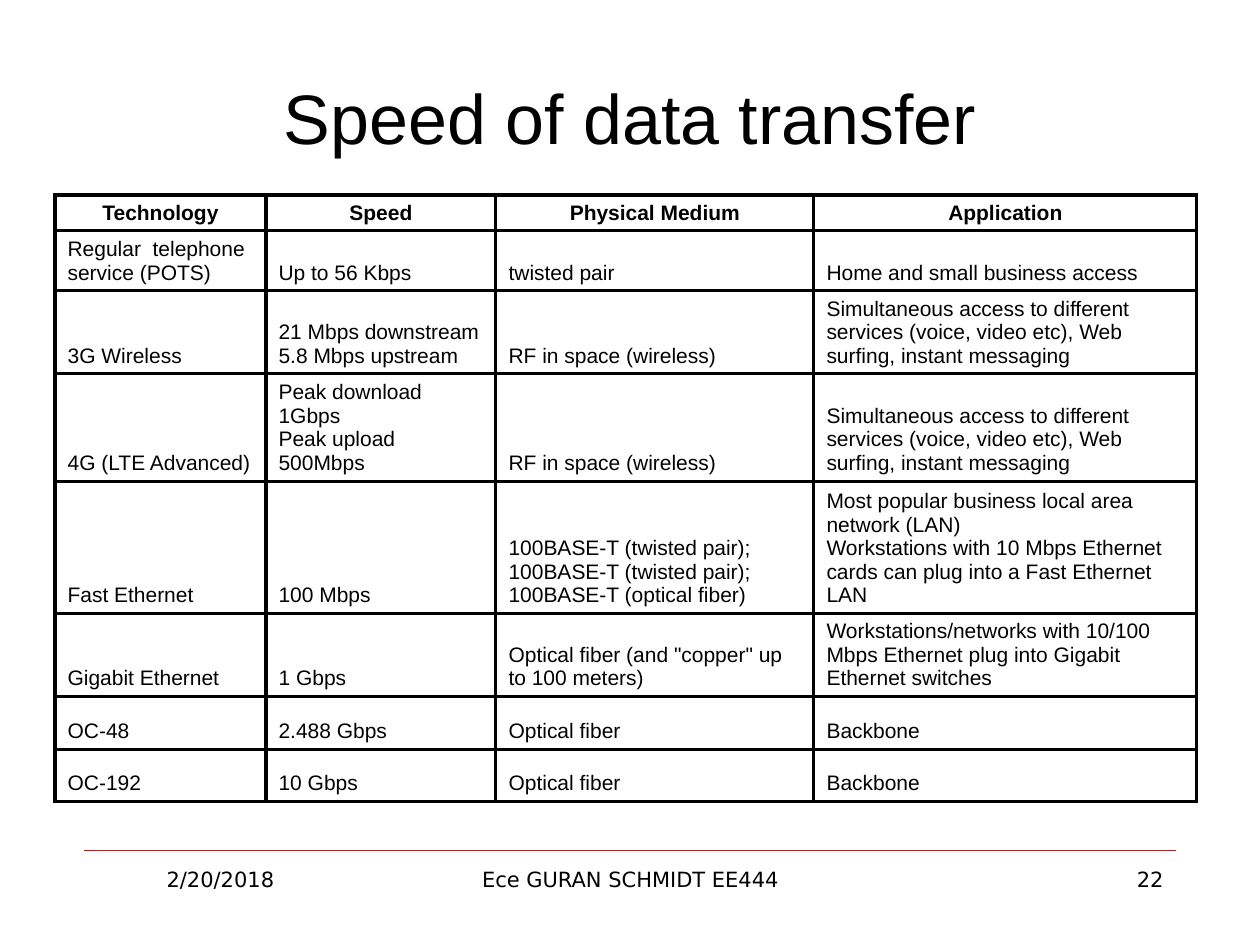
from lxml import etree
from pptx import Presentation
from pptx.dml.color import RGBColor
from pptx.enum.shapes import MSO_CONNECTOR
from pptx.enum.text import MSO_ANCHOR as ANCHOR, PP_ALIGN as ALIGN
from pptx.oxml import parse_xml
from pptx.oxml.ns import nsdecls, qn
from pptx.util import Pt

PX = 914400 / 126
BLACK, WHITE, RED = "000000", "FFFFFF", "FF0000"


def px(*lengths):
    """Turn pixel lengths into a list of EMU."""
    return [round(length * PX) for length in lengths]


def style(font, size, font_name, bold=False):
    font.size, font.name, font.bold = Pt(size), font_name, bold
    font.color.rgb = RGBColor.from_string(BLACK)


prs = Presentation()
prs.slide_width, prs.slide_height = px(1260, 945)
slide = prs.slides.add_slide(prs.slide_layouts[5])

# Title
title = slide.shapes.title
title.left, title.top, title.width, title.height = px(63, 38, 1134, 157)
title.text_frame.text = "Speed of data transfer"
title.text_frame.vertical_anchor = ANCHOR.MIDDLE
heading = title.text_frame.paragraphs[0]
heading.alignment = ALIGN.CENTER
style(heading.font, 40, "Arial")

# Footer
rule = slide.shapes.add_connector(MSO_CONNECTOR.STRAIGHT, *px(84, 850, 1176, 850))
rule.line.color.rgb = RGBColor.from_string(RED)
rule.line.width = Pt(0.25)
etree.SubElement(rule._element.spPr, qn("a:effectLst"))

for left, width, text, align in [
    (84, 273, "2/20/2018", ALIGN.CENTER),
    (431, 399, "Ece GURAN SCHMIDT EE444", ALIGN.CENTER),
    (903, 273, "22", ALIGN.RIGHT),
]:
    footer = slide.shapes.add_textbox(*px(left, 860, width, 65)).text_frame
    footer.word_wrap = True
    footer.text = text
    footer.paragraphs[0].alignment = align
    style(footer.paragraphs[0].font, 12, "DejaVu Sans")

# Table of technologies
services = ("Simultaneous access to different services (voice, video etc), "
            "Web surfing, instant messaging")
rows = [
    ("Technology", "Speed", "Physical Medium", "Application"),
    ("Regular  telephone service (POTS)", "Up to 56 Kbps", "twisted pair",
     "Home and small business access"),
    ("3G Wireless", "21 Mbps downstream 5.8 Mbps upstream",
     "RF in space (wireless)", services),
    ("4G (LTE Advanced)", "Peak download 1Gbps\nPeak upload 500Mbps",
     "RF in space (wireless)", services),
    ("Fast Ethernet", "100 Mbps",
     "100BASE-T (twisted pair); 100BASE-T (twisted pair); "
     "100BASE-T (optical fiber)",
     "Most popular business local area network (LAN)\n"
     "Workstations with 10 Mbps Ethernet cards can plug into a Fast Ethernet LAN"),
    ("Gigabit Ethernet", "1 Gbps",
     'Optical fiber (and "copper" up to 100 meters)',
     "Workstations/networks with 10/100 Mbps Ethernet plug into "
     "Gigabit Ethernet switches"),
    ("OC-48", "2.488 Gbps", "Optical fiber", "Backbone"),
    ("OC-192", "10 Gbps", "Optical fiber", "Backbone"),
]
column_widths = [211, 230, 318, 383]
row_heights = [36, 60, 83, 106, 130, 83, 53, 52]

technologies = slide.shapes.add_table(
    len(rows), len(column_widths),
    *px(55, 195, sum(column_widths), sum(row_heights))).table
technologies.first_row = technologies.horz_banding = False
for column, width in zip(technologies.columns, px(*column_widths)):
    column.width = width
for row, height in zip(technologies.rows, px(*row_heights)):
    row.height = height

for r, texts in enumerate(rows):
    for c, text in enumerate(texts):
        cell = technologies.cell(r, c)
        cell.text = text
        cell.vertical_anchor = ANCHOR.BOTTOM
        cell.margin_top = 0
        for paragraph in cell.text_frame.paragraphs:
            paragraph.alignment = ALIGN.LEFT if r else ALIGN.CENTER
            # Row heights are measured from the fonts of the runs
            style(paragraph.runs[0].font, 12, "Arial", bold=r == 0)
        cell.fill.solid()
        cell.fill.fore_color.rgb = RGBColor.from_string(WHITE)
        for i, side in enumerate(("lnL", "lnR", "lnT", "lnB")):
            cell._tc.tcPr.insert(i, parse_xml(
                f'<a:{side} {nsdecls("a")} w="{Pt(2)}"><a:solidFill>'
                f'<a:srgbClr val="{BLACK}"/></a:solidFill></a:{side}>'))

prs.save("out.pptx")
